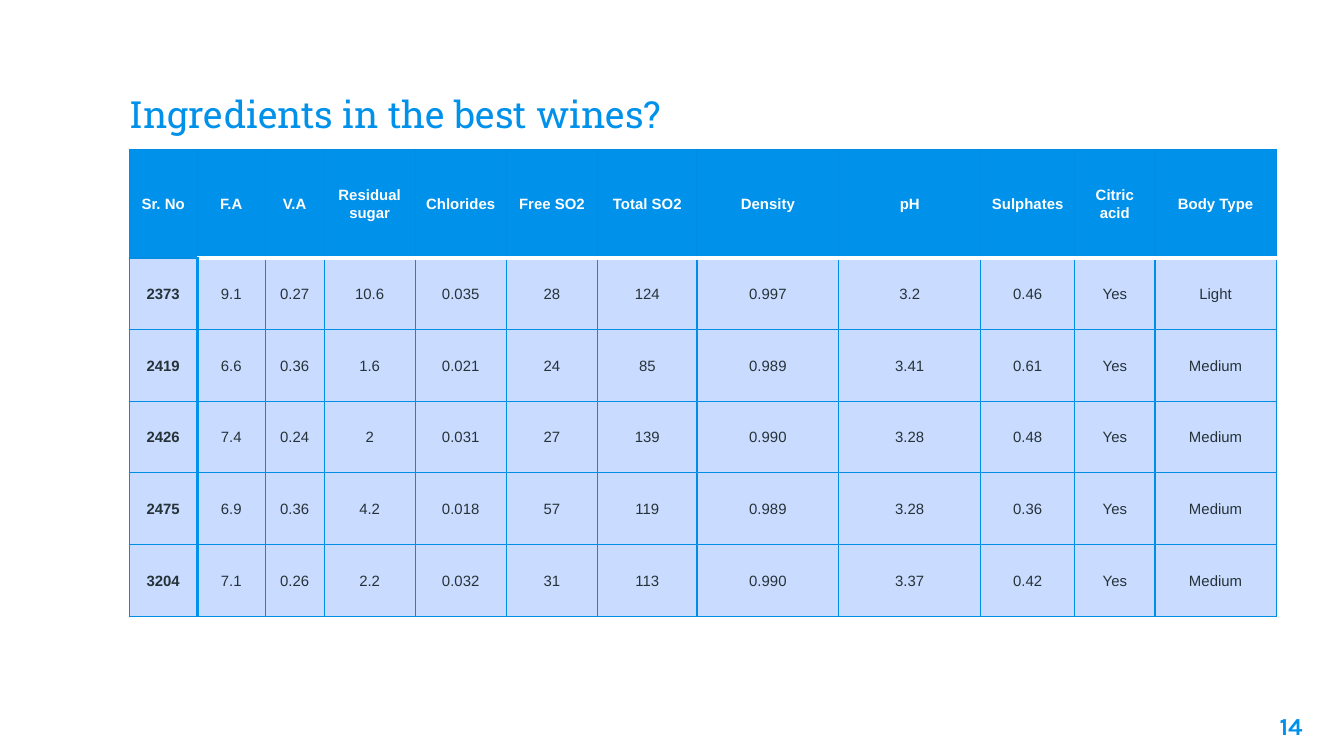
from pptx import Presentation
from pptx.util import Pt
from pptx.dml.color import RGBColor
from pptx.enum.text import PP_ALIGN, MSO_ANCHOR
from lxml.etree import SubElement
from pptx.oxml.ns import qn

HUES = {"blue": "0091EA", "rule": "008EE5", "pale": "C9DCFF",
        "white": "FFFFFF", "ink": "263238"}

HEADS = ["Sr. No", "F.A", "V.A", "Residual sugar", "Chlorides", "Free SO2",
         "Total SO2", "Density", "pH", "Sulphates", "Citric acid", "Body Type"]
WINES = [
    ["2373", "9.1", "0.27", "10.6", "0.035", "28", "124", "0.997", "3.2", "0.46", "Yes", "Light"],
    ["2419", "6.6", "0.36", "1.6", "0.021", "24", "85", "0.989", "3.41", "0.61", "Yes", "Medium"],
    ["2426", "7.4", "0.24", "2", "0.031", "27", "139", "0.990", "3.28", "0.48", "Yes", "Medium"],
    ["2475", "6.9", "0.36", "4.2", "0.018", "57", "119", "0.989", "3.28", "0.36", "Yes", "Medium"],
    ["3204", "7.1", "0.26", "2.2", "0.032", "31", "113", "0.990", "3.37", "0.42", "Yes", "Medium"],
]
WIDTHS = [36.5, 36.4, 31.6, 48.8, 48.8, 49, 53.2, 76, 76, 50.4, 43, 65]
HEAD_H, ROW_H = 58.3, 38.4


def write(frame, text, font, size, hue, bold=False, align=PP_ALIGN.LEFT):
    para = frame.paragraphs[0]
    para.alignment = align
    run = para.add_run()
    run.text = text
    run.font.name = font
    run.font.size = Pt(size)
    run.font.bold = bold
    run.font.color.rgb = RGBColor.from_string(HUES[hue])
    return para


def edge(cell, side, hue, width):
    line = SubElement(cell._tc.get_or_add_tcPr(), qn("a:ln" + side), w=str(Pt(width)))
    fill = SubElement(line, qn("a:solidFill"))
    SubElement(fill, qn("a:srgbClr"), val=HUES[hue])


deck = Presentation()
deck.slide_width, deck.slide_height = Pt(720), Pt(405)
slide = deck.slides.add_slide(deck.slide_layouts[6])

# Title and page number
for text, box, font, size, bold, align, anchor in [
    ("Ingredients in the best wines?", (62.2, 24.5, 596, 55.4), "Roboto Slab", 20,
     False, PP_ALIGN.LEFT, MSO_ANCHOR.BOTTOM),
    ("14", (661.7, 373.7, 43.2, 31), "Karla", 13,
     True, PP_ALIGN.RIGHT, MSO_ANCHOR.TOP),
]:
    frame = slide.shapes.add_textbox(*map(Pt, box)).text_frame
    frame.word_wrap = True
    frame.vertical_anchor = anchor
    frame.margin_left = frame.margin_right = Pt(7.2)
    frame.margin_top = frame.margin_bottom = Pt(7.2)
    write(frame, text, font, size, "blue", bold, align)

# Table grid
rows = [HEADS] + WINES
table = slide.shapes.add_table(
    len(rows), len(HEADS), Pt(69.2), Pt(79.9),
    Pt(sum(WIDTHS)), Pt(HEAD_H + ROW_H * len(WINES))).table
table.horz_banding = False
for col, width in zip(table.columns, WIDTHS):
    col.width = Pt(width)
for i, row in enumerate(table.rows):
    row.height = Pt(ROW_H if i else HEAD_H)

# Cells: borders first, then fill and text
for i, row in enumerate(rows):
    for j, text in enumerate(row):
        cell = table.cell(i, j)
        thin, thick = ("rule", 0.75), ("blue", 2)
        under = ("white", 2) if j else thin
        edge(cell, "L", *(thick if i and j == 1 else thin))
        edge(cell, "R", *(thick if i and j == 0 else thin))
        edge(cell, "T", *(under if i == 1 else thin))
        edge(cell, "B", *(under if i == 0 else thin))
        cell.fill.solid()
        cell.fill.fore_color.rgb = RGBColor.from_string(HUES["pale" if i else "blue"])
        cell.vertical_anchor = MSO_ANCHOR.MIDDLE
        cell.margin_left = cell.margin_right = Pt(5)
        cell.margin_top = cell.margin_bottom = Pt(0)
        para = write(cell.text_frame, text, "Arial", 8, "ink" if i else "white",
                     i == 0 or j == 0, PP_ALIGN.CENTER)
        para.line_spacing = 1.07
        para.space_after = Pt(8)

deck.save("out.pptx")
